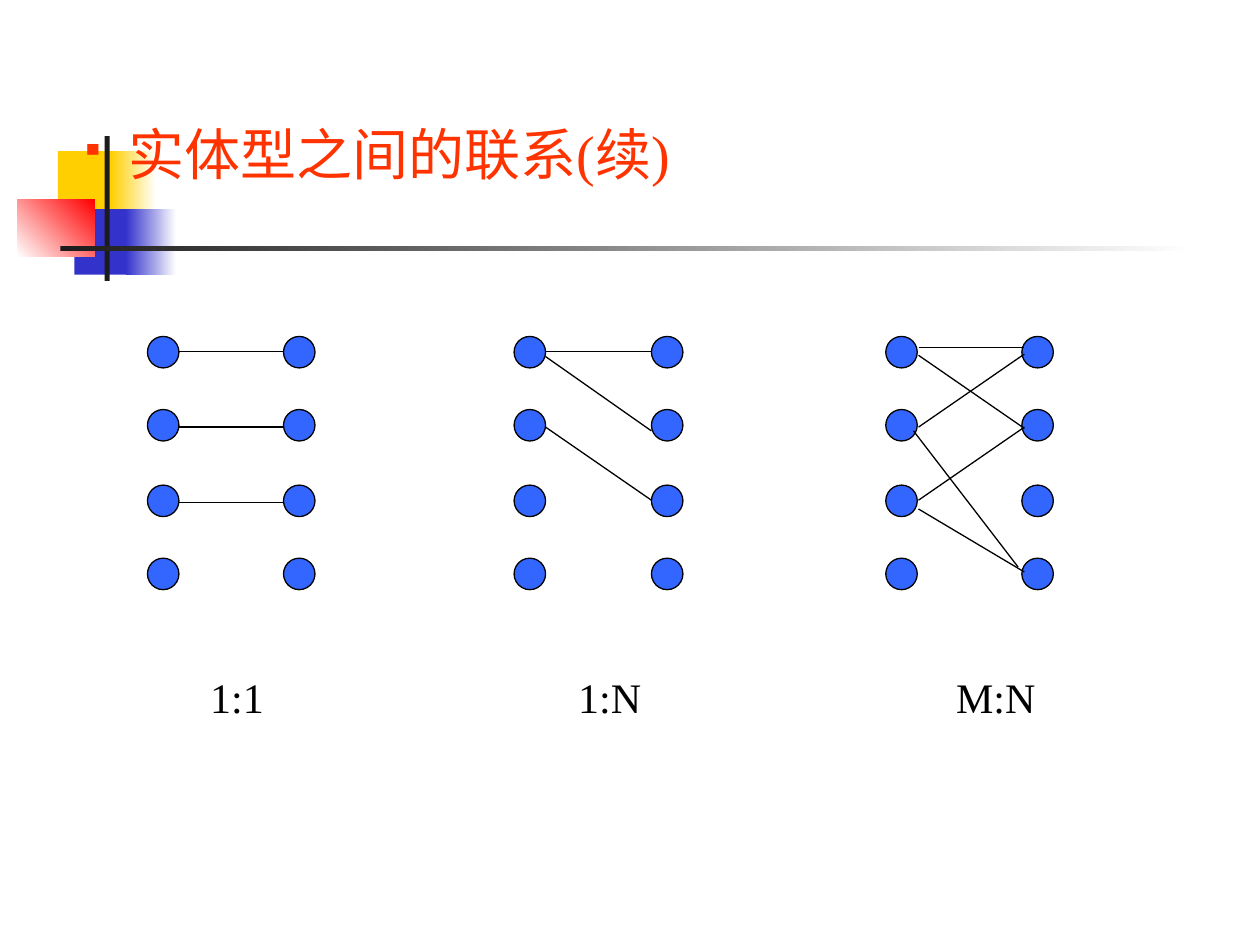
import lxml.etree
import pptx
import pptx.dml.color
import pptx.enum.shapes
import pptx.enum.text
import pptx.oxml.ns
import pptx.util

RGB = pptx.dml.color.RGBColor
BLACK = RGB(0x00, 0x00, 0x00)
WHITE = RGB(0xFF, 0xFF, 0xFF)
GOLD = RGB(0xFF, 0xCF, 0x01)
NAVY = RGB(0x33, 0x33, 0xCC)
RED = RGB(0xFF, 0x00, 0x00)
DARK = RGB(0x1C, 0x1C, 0x1C)
BLUE = RGB(0x33, 0x66, 0xFF)
ORANGE = RGB(0xFF, 0x33, 0x00)

SCALE = 9144  # EMU in one px, at 100 px to the inch
DOT = 25
ROWS = (267, 325, 385, 443)
KINDS = pptx.enum.shapes.MSO_SHAPE


def px(*sizes):
    return [pptx.util.Emu(size * SCALE) for size in sizes]


def add_tag(parent, name, **attrs):
    tag = pptx.oxml.ns.qn("a:" + name)
    return lxml.etree.SubElement(parent, tag, attrs)


class Page:
    font = "Times New Roman"
    stroke = pptx.util.Pt(0.75)

    def __init__(self, slide):
        self.slide = slide

    def bar(self, box, color, end=None, angle=0):
        """Add a rectangle; with an end colour, its fill fades to it."""
        shape = self.slide.shapes.add_shape(KINDS.RECTANGLE, *px(*box))
        shape.shadow.inherit = False
        shape.line.fill.background()
        if end is None:
            shape.fill.solid()
            shape.fill.fore_color.rgb = color
            return
        shape.fill.gradient()
        shape.fill.gradient_angle = angle
        for stop, tone in zip(shape.fill.gradient_stops, (color, end)):
            stop.color.rgb = tone

    def dots(self, lefts):
        """Add one group holding a column of dots at each left."""
        group = self.slide.shapes.add_group_shape()
        for left in lefts:
            for top in ROWS:
                dot = group.shapes.add_shape(KINDS.OVAL, *px(left, top, DOT, DOT))
                dot.shadow.inherit = False
                dot.fill.solid()
                dot.fill.fore_color.rgb = BLUE
                dot.line.color.rgb = BLACK
                dot.line.width = self.stroke

    def link(self, ends):
        kind = pptx.enum.shapes.MSO_CONNECTOR.STRAIGHT
        line = self.slide.shapes.add_connector(kind, *px(*ends))
        line.line.color.rgb = BLACK
        line.line.width = self.stroke
        add_tag(line._element.spPr, "effectLst")

    def text(self, words, box, size=24, color=BLACK, wrap=False, bullet=None):
        frame = self.slide.shapes.add_textbox(*px(*box)).text_frame
        frame.word_wrap = wrap
        if not wrap:
            frame.auto_size = pptx.enum.text.MSO_AUTO_SIZE.SHAPE_TO_FIT_TEXT
        para = frame.paragraphs[0]
        if bullet:
            props = para._p.get_or_add_pPr()
            indent = 38 * SCALE
            props.set("marL", str(indent))
            props.set("indent", str(-indent))
            add_tag(add_tag(props, "buClr"), "srgbClr", val=str(color))
            add_tag(props, "buSzPct", val="60000")
            add_tag(props, "buChar", char=bullet)
        run = para.add_run()
        run.text = words
        run.font.name = self.font
        run.font.size = pptx.util.Pt(size)
        run.font.color.rgb = color


BARS = [
    ((46, 120, 48, 52), GOLD),
    ((88, 120, 36, 52), GOLD, WHITE),
    ((59, 166, 46, 52), NAVY),
    ((100, 166, 40, 52), NAVY, WHITE),
    ((14, 158, 61, 46), WHITE, RED, 45),
    ((83, 108, 4, 115), DARK),
    ((48, 195, 900, 4), DARK, WHITE),
]

# label, its box, left edges of the dot columns, links between them
GRAPHS = [
    ("1:1", (157, 528, 66, 50), (117, 225),
     [(142, y, 225, y) for y in (279, 339, 399)]),
    ("1:N", (449, 528, 72, 50), (408, 517),
     [(433, 279, 517, 279), (433, 283, 517, 342), (433, 339, 517, 397)]),
    ("M:N", (749, 528, 85, 50), (703, 811),
     [(725, 342, 808, 450), (729, 276, 813, 276), (729, 339, 813, 281),
      (729, 404, 813, 454), (729, 282, 813, 340), (729, 397, 813, 339)]),
]


def main():
    deck = pptx.Presentation()
    deck.slide_width, deck.slide_height = px(1000, 750)
    page = Page(deck.slides.add_slide(deck.slide_layouts[6]))
    for bar in BARS:
        page.bar(*bar)
    page.text("实体型之间的联系(续)", (54, 90, 908, 76), size=32,
              color=ORANGE, wrap=True, bullet="▪")
    for label, box, lefts, links in GRAPHS:
        page.dots(lefts)
        page.text(label, box)
        for ends in links:
            page.link(ends)
    deck.save("out.pptx")


if __name__ == "__main__":
    main()
